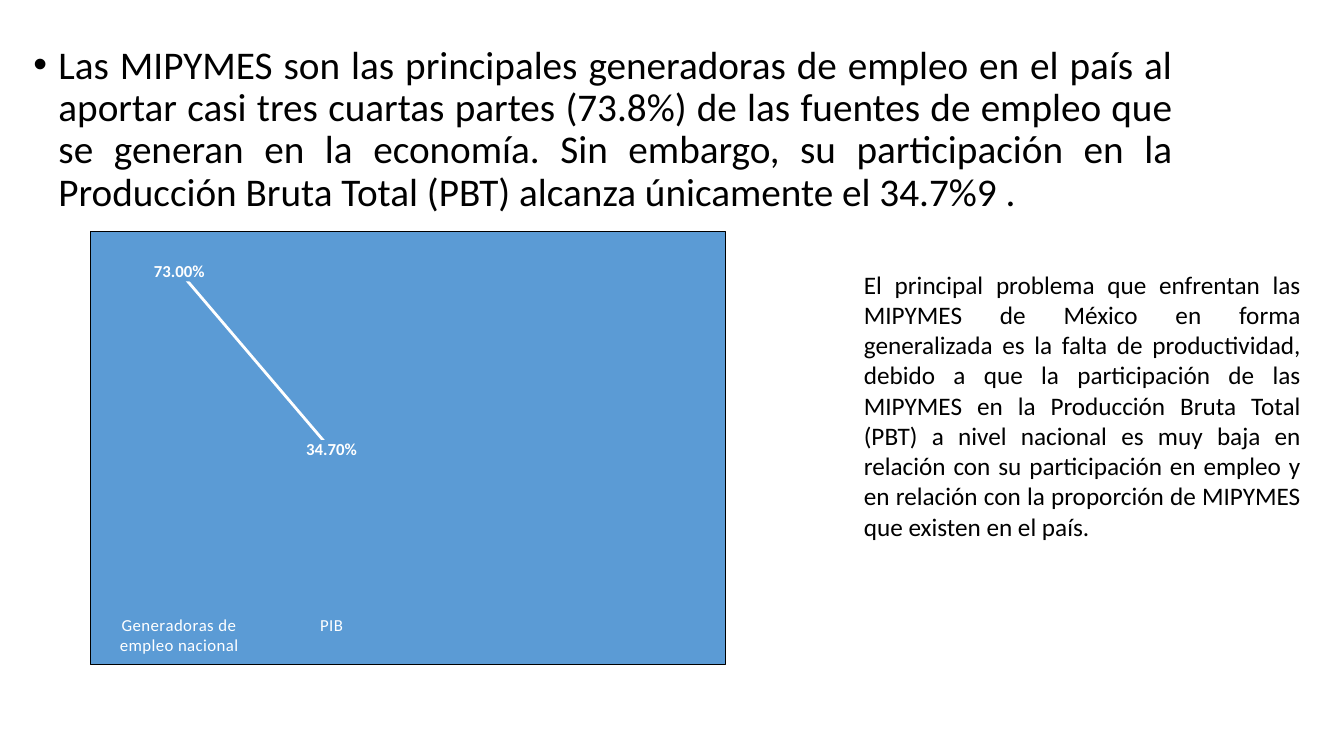
from lxml import etree
from pptx import Presentation
from pptx.chart import data as chart_data
from pptx.dml.color import RGBColor
from pptx.enum import chart as ch, text
from pptx.oxml import parse_xml
from pptx.oxml.ns import nsdecls, qn
from pptx.util import Inches, Pt

BLACK = RGBColor(0, 0, 0)
WHITE = RGBColor(255, 255, 255)
BLUE = RGBColor(0x5B, 0x9B, 0xD5)
FONT = "Calibri"

EMPLOYMENT = (
    "Las MIPYMES son las principales generadoras de empleo en el país al aportar "
    "casi tres cuartas partes (73.8%) de las fuentes de empleo que se generan en la "
    "economía. Sin embargo, su participación en la Producción Bruta Total (PBT) "
    "alcanza únicamente el 34.7%9 . "
)
PROBLEM = (
    "El principal problema que enfrentan las MIPYMES de México en forma generalizada "
    "es la falta de productividad, debido a que la participación de las MIPYMES en la "
    "Producción Bruta Total (PBT) a nivel nacional es muy baja en relación con su "
    "participación en empleo y en relación con la proporción de MIPYMES que existen "
    "en el país. "
)
SHARES = {"Generadoras de empleo nacional": 0.73, "PIB": 0.347}
EMPTY_SLOTS = 2
PLOT_AREA = {"x": 0.02, "y": 0.017, "w": 0.96, "h": 0.862}


def set_font(font, size, color, bold=False):
    for name, value in {"name": FONT, "size": Pt(size), "bold": bold}.items():
        setattr(font, name, value)
    font.color.rgb = color


def write_justified(frame, words, size):
    frame.word_wrap = True
    paragraph = frame.paragraphs[0]
    paragraph.alignment = text.PP_ALIGN.JUSTIFY
    run = paragraph.add_run()
    run.text = words
    set_font(run.font, size, BLACK)
    return paragraph


def place_employment(slide, left, top, width, height):
    body = slide.placeholders[1]
    body.left, body.top, body.width, body.height = left, top, width, height
    body.text_frame.auto_size = text.MSO_AUTO_SIZE.NONE
    body.text_frame.vertical_anchor = text.MSO_ANCHOR.TOP
    paragraph = write_justified(body.text_frame, EMPLOYMENT, 28)
    paragraph.line_spacing = 0.9
    paragraph.space_before = Pt(10)
    properties = paragraph._p.get_or_add_pPr()
    properties.set("marL", str(Inches(0.25)))
    properties.set("indent", str(Inches(-0.25)))


def place_problem(slide, left, top, width, height):
    box = slide.shapes.add_textbox(left, top, width, height)
    write_justified(box.text_frame, PROBLEM, 18)
    box.text_frame.auto_size = text.MSO_AUTO_SIZE.SHAPE_TO_FIT_TEXT


def fill_properties(border=""):
    return parse_xml(
        f'<c:spPr {nsdecls("c", "a")}><a:solidFill><a:srgbClr val="{BLUE}"/>'
        f"</a:solidFill>{border}</c:spPr>"
    )


def fix_plot_area(chart):
    plot_area = chart._chartSpace.chart.plotArea
    for layout in plot_area.findall(qn("c:layout")):
        plot_area.remove(layout)
    layout = etree.Element(qn("c:layout"))
    manual = etree.SubElement(layout, qn("c:manualLayout"))
    settings = {"layoutTarget": "inner", "xMode": "edge", "yMode": "edge", **PLOT_AREA}
    for tag, value in settings.items():
        etree.SubElement(manual, qn(f"c:{tag}")).set("val", str(value))
    plot_area.insert(0, layout)


def format_axes(chart):
    shares = chart.value_axis
    shares.minimum_scale, shares.maximum_scale = 0, 0.8
    shares.has_major_gridlines = False
    shares.visible = False
    sources = chart.category_axis
    sources.major_tick_mark = ch.XL_TICK_MARK.NONE
    sources.format.line.fill.background()
    set_font(sources.tick_labels.font, 12, WHITE)
    sources._element.find(".//" + qn("a:defRPr")).set("spc", "30")


def format_share_line(chart):
    line = chart.plots[0].series[0]
    line.smooth = False
    line.marker.style = ch.XL_MARKER_STYLE.NONE
    line.format.line.color.rgb = WHITE
    line.format.line.width = Pt(2)
    labels = line.data_labels
    settings = {
        "show_value": True,
        "position": ch.XL_LABEL_POSITION.CENTER,
        "number_format": "0.00%",
        "number_format_is_linked": False,
    }
    for name, value in settings.items():
        setattr(labels, name, value)
    set_font(labels.font, 12, WHITE, bold=True)
    labels._element.find(qn("c:txPr")).addprevious(fill_properties())


def place_share_chart(slide, left, top, width, height):
    data = chart_data.CategoryChartData(number_format="0.00%")
    data.categories = [*SHARES, *[""] * EMPTY_SLOTS]
    data.add_series("Series 1", [*SHARES.values(), *[None] * EMPTY_SLOTS])
    chart = slide.shapes.add_chart(
        ch.XL_CHART_TYPE.LINE, left, top, width, height, data
    ).chart
    chart.has_legend = False
    chart.has_title = False
    chart.plots[0].vary_by_categories = False
    set_font(chart.font, 10, BLACK)
    border = (
        f'<a:ln w="{Pt(0.75)}"><a:solidFill><a:srgbClr val="{BLACK}"/>'
        "</a:solidFill></a:ln>"
    )
    chart._chartSpace.chart.addnext(fill_properties(border))
    fix_plot_area(chart)
    format_axes(chart)
    format_share_line(chart)


def main():
    deck = Presentation()
    deck.slide_width, deck.slide_height = Inches(13.33), Inches(7.5)
    slide = deck.slides.add_slide(deck.slide_layouts[1])
    title = slide.shapes.title._element
    title.getparent().remove(title)
    place_employment(slide, Inches(0.23), Inches(0.4), Inches(11.5), Inches(3.77))
    place_share_chart(slide, Inches(0.89), Inches(2.29), Inches(6.31), Inches(4.31))
    place_problem(slide, Inches(8.47), Inches(2.62), Inches(4.53), Inches(2.83))
    deck.save("out.pptx")


if __name__ == "__main__":
    main()
